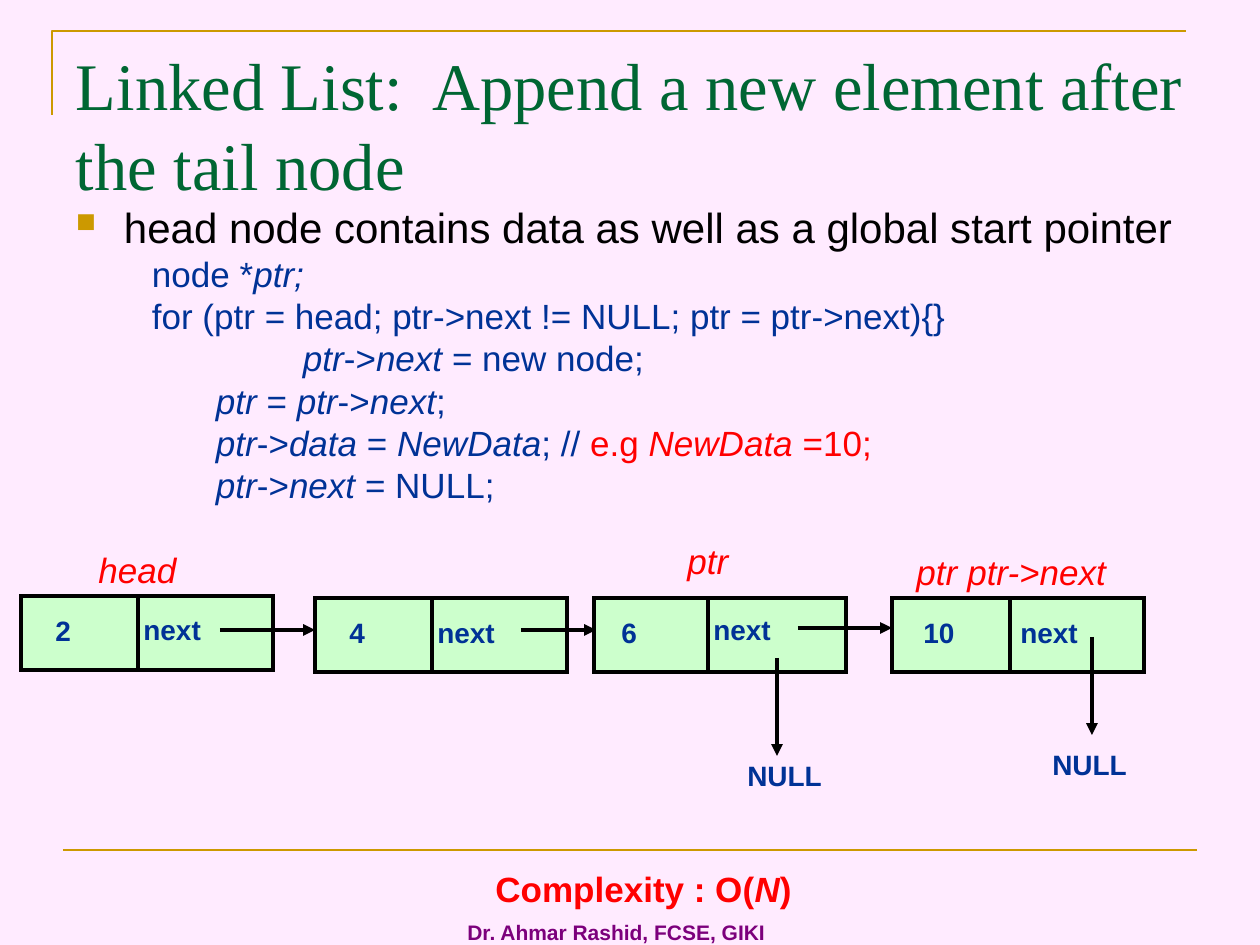
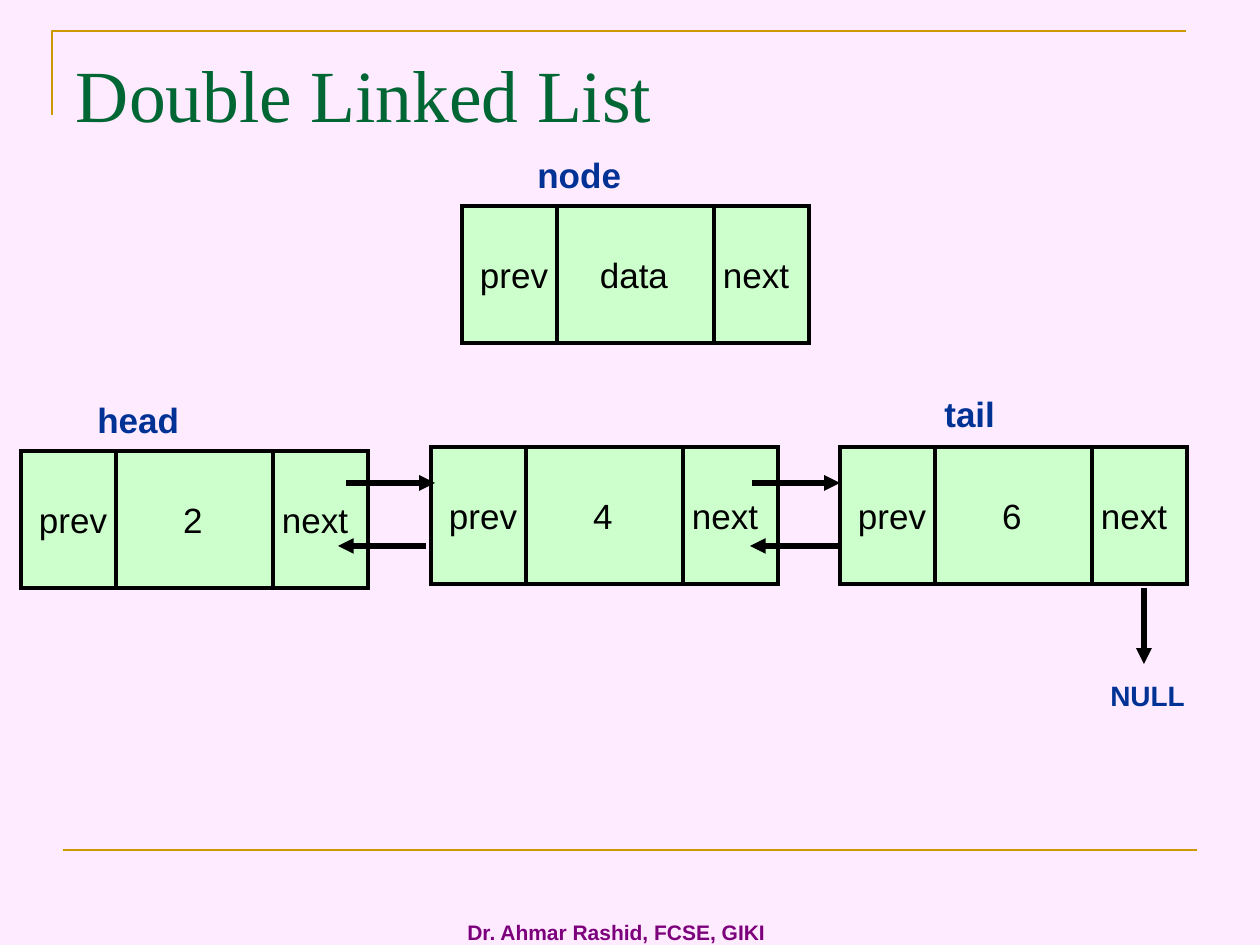
"""Build two lecture slides on appending to a linked list and on double linked lists."""
import lxml.etree
import pptx
import pptx.dml.color
import pptx.enum.shapes
import pptx.enum.text
import pptx.oxml.ns
import pptx.util

PX = 914400 // 126
GOLD, GREEN, NAVY, RED = "CC9900", "006633", "003296", "FF0000"
PURPLE, BLACK, MINT, BLUSH = "7C007C", "000000", "CCFFCC", "FFEBFF"
colour = pptx.dml.color.RGBColor.from_string
qn = pptx.oxml.ns.qn


def add_runs(paragraph, runs, size, bold=False):
    """Append (text, hex colour, italic) runs in Arial to a paragraph."""
    for text, hex_colour, italic in runs:
        run = paragraph.add_run()
        run.text = text
        run.font.name = "Arial"
        run.font.size = pptx.util.Pt(size)
        run.font.bold = bold
        run.font.italic = italic
        run.font.color.rgb = colour(hex_colour)


def add_line(slide, start, end, hex_colour, width, arrow=False):
    """Draw a straight line, with an arrowhead at its end if asked."""
    line = slide.shapes.add_connector(
        pptx.enum.shapes.MSO_CONNECTOR.STRAIGHT,
        start[0] * PX, start[1] * PX, end[0] * PX, end[1] * PX)
    line.line.color.rgb = colour(hex_colour)
    line.line.width = pptx.util.Pt(width)
    properties = line._element.spPr
    if arrow:
        lxml.etree.SubElement(properties.find(qn("a:ln")), qn("a:tailEnd"), type="triangle")
    lxml.etree.SubElement(properties, qn("a:effectLst"))


prs = pptx.Presentation()
prs.slide_width, prs.slide_height = 1260 * PX, 945 * PX
background = prs.slide_master.background.fill
background.solid()
background.fore_color.rgb = colour(BLUSH)

slides = []
for heading, top, size in [
    ("Linked List:  Append a new element after the tail node", 38, 38),
    ("Double Linked List", 43, 42),
]:
    slide = prs.slides.add_slide(prs.slide_layouts[5])
    slides.append(slide)

    outline = slide.shapes.build_freeform(52, 115, scale=PX)
    outline.add_line_segments([(52, 31), (1186, 31)], close=False)
    corner = outline.convert_to_shape()
    corner.shadow.inherit = False
    corner.fill.background()
    corner.line.color.rgb = colour(GOLD)
    corner.line.width = pptx.util.Pt(1.5)
    add_line(slide, (63, 850), (1197, 850), GOLD, 1.5)

    title = slide.shapes.title
    title.left, title.top, title.width, title.height = 63 * PX, top * PX, 1134 * PX, 157 * PX
    frame = title.text_frame
    frame.word_wrap = True
    frame.auto_size = pptx.enum.text.MSO_AUTO_SIZE.NONE
    frame.vertical_anchor = pptx.enum.text.MSO_ANCHOR.TOP
    frame.margin_left, frame.margin_right = 13 * PX, 6 * PX
    paragraph = frame.paragraphs[0]
    paragraph.alignment = pptx.enum.text.PP_ALIGN.LEFT
    run = paragraph.add_run()
    run.text = heading
    run.font.name = "Times New Roman"
    run.font.size = pptx.util.Pt(size)
    run.font.color.rgb = colour(GREEN)

append_slide, double_slide = slides

code_lines = [
    (76, [("node *", NAVY, False), ("ptr;", NAVY, True)]),
    (76, [("for (ptr = head; ptr->next != NULL; ptr = ptr->next){}", NAVY, False)]),
    (227, [("ptr", NAVY, True), ("->", NAVY, False), ("next ", NAVY, True),
           ("= new node;", NAVY, False)]),
    (140, [("ptr ", NAVY, True), ("= ", NAVY, False), ("ptr", NAVY, True),
           ("->", NAVY, False), ("next", NAVY, True), (";", NAVY, False)]),
    (140, [("ptr", NAVY, True), ("->", NAVY, False), ("data ", NAVY, True),
           ("= ", NAVY, False), ("NewData", NAVY, True), ("; // ", NAVY, False),
           ("e.g ", RED, False), ("NewData", RED, True), (" =10;", RED, False)]),
    (140, [("ptr", NAVY, True), ("->", NAVY, False), ("next ", NAVY, True),
           ("= NULL;", NAVY, False)]),
]
body = append_slide.shapes.add_textbox(63 * PX, 205 * PX, 1134 * PX, 320 * PX).text_frame
body.word_wrap = True
body.margin_left, body.margin_right = 13 * PX, 6 * PX
point = body.paragraphs[0]
point.line_spacing = 0.8
bullet = point._p.get_or_add_pPr()
bullet.set("marL", str(48 * PX))
bullet.set("indent", str(-48 * PX))
bullet_colour = lxml.etree.SubElement(bullet, qn("a:buClr"))
lxml.etree.SubElement(bullet_colour, qn("a:srgbClr"), val=GOLD)
lxml.etree.SubElement(bullet, qn("a:buSzPct"), val="65000")
lxml.etree.SubElement(bullet, qn("a:buChar"), char="■")
add_runs(point, [("head node contains data as well as a global start pointer", BLACK, False)], 24)
for indent, runs in code_lines:
    code = body.add_paragraph()
    code.line_spacing = 0.8
    code.space_before = pptx.util.Pt(5)
    code._p.get_or_add_pPr().set("marL", str(indent * PX))
    add_runs(code, runs, 20)

nodes = [
    (append_slide, 21, 596, 252, 74, [117], ""),
    (append_slide, 315, 598, 252, 74, [117], ""),
    (append_slide, 594, 598, 252, 74, [114], ""),
    (append_slide, 892, 598, 252, 74, [118], ""),
    (double_slide, 462, 206, 347, 137, [95, 252], "data"),
    (double_slide, 21, 451, 347, 137, [95, 252], "2"),
    (double_slide, 431, 447, 347, 137, [95, 252], "4"),
    (double_slide, 840, 447, 347, 137, [95, 252], "6"),
]
for slide, left, top, width, height, dividers, value in nodes:
    node = slide.shapes.add_shape(pptx.enum.shapes.MSO_SHAPE.RECTANGLE,
                                  left * PX, top * PX, width * PX, height * PX)
    node.shadow.inherit = False
    node.fill.solid()
    node.fill.fore_color.rgb = colour(MINT)
    node.line.color.rgb = colour(BLACK)
    node.line.width = pptx.util.Pt(2)
    border = node._element.spPr.find(qn("a:ln"))
    lxml.etree.SubElement(border, qn("a:miter"), lim="800000")
    if value:
        frame = node.text_frame
        frame.word_wrap = True
        frame.vertical_anchor = pptx.enum.text.MSO_ANCHOR.MIDDLE
        frame.margin_left, frame.margin_right = 18 * PX, 0
        fields = frame.paragraphs[0]
        fields.alignment = pptx.enum.text.PP_ALIGN.LEFT
        tabs = lxml.etree.SubElement(fields._p.get_or_add_pPr(), qn("a:tabLst"))
        for position, alignment in [(154, "ctr"), (243, "l")]:
            lxml.etree.SubElement(tabs, qn("a:tab"), pos=str(position * PX), algn=alignment)
        add_runs(fields, [(f"prev\t{value}\tnext", BLACK, False)], 20)
    for divider in dividers:
        add_line(slide, (left + divider, top + height), (left + divider, top), BLACK, 2)

arrows = [
    (append_slide, (220, 630), (315, 630), 2.25),
    (append_slide, (521, 630), (596, 630), 2.25),
    (append_slide, (798, 628), (892, 628), 2.25),
    (append_slide, (777, 658), (777, 756), 2.25),
    (append_slide, (1092, 637), (1092, 735), 2.25),
    (double_slide, (346, 483), (435, 483), 3),
    (double_slide, (752, 483), (840, 483), 3),
    (double_slide, (426, 546), (338, 546), 3),
    (double_slide, (838, 546), (750, 546), 3),
    (double_slide, (1144, 588), (1144, 664), 3),
]
for slide, start, end, width in arrows:
    add_line(slide, start, end, BLACK, width, arrow=True)

labels = [
    (append_slide, 86, 542, 103, 20, False, [("head", RED, True)]),
    (append_slide, 675, 533, 66, 20, False, [("ptr", RED, True)]),
    (append_slide, 904, 544, 66, 20, False, [("ptr", RED, True)]),
    (append_slide, 955, 544, 164, 20, False, [("ptr->next", RED, True)]),
    (append_slide, 43, 607, 40, 16, True, [("2", NAVY, False)]),
    (append_slide, 337, 609, 40, 16, True, [("4", NAVY, False)]),
    (append_slide, 609, 609, 40, 16, True, [("6", NAVY, False)]),
    (append_slide, 911, 609, 55, 16, True, [("10", NAVY, False)]),
    (append_slide, 131, 606, 82, 16, True, [("next", NAVY, False)]),
    (append_slide, 425, 609, 82, 16, True, [("next", NAVY, False)]),
    (append_slide, 701, 606, 82, 16, True, [("next", NAVY, False)]),
    (append_slide, 1008, 609, 82, 16, True, [("next", NAVY, False)]),
    (append_slide, 735, 752, 100, 16, True, [("NULL", NAVY, False)]),
    (append_slide, 1040, 741, 100, 16, True, [("NULL", NAVY, False)]),
    (append_slide, 483, 861, 321, 20, True,
     [("Complexity : O(", RED, False), ("N", RED, True), (")", RED, False)]),
    (double_slide, 525, 147, 108, 20, True, [("node", NAVY, False)]),
    (double_slide, 85, 392, 107, 20, True, [("head", NAVY, False)]),
    (double_slide, 932, 386, 76, 20, True, [("tail", NAVY, False)]),
    (double_slide, 1098, 672, 100, 16, True, [("NULL", NAVY, False)]),
]
for slide in slides:
    labels.append((slide, 455, 913, 325, 12, True,
                   [("Dr. Ahmar Rashid, FCSE, GIKI", PURPLE, False)]))
for slide, left, top, width, size, bold, runs in labels:
    height = 14 + 2 * size
    label = slide.shapes.add_textbox(left * PX, top * PX, width * PX, height * PX)
    label.text_frame.word_wrap = True
    label.text_frame.margin_right = 0
    add_runs(label.text_frame.paragraphs[0], runs, size, bold)

prs.save("out.pptx")
